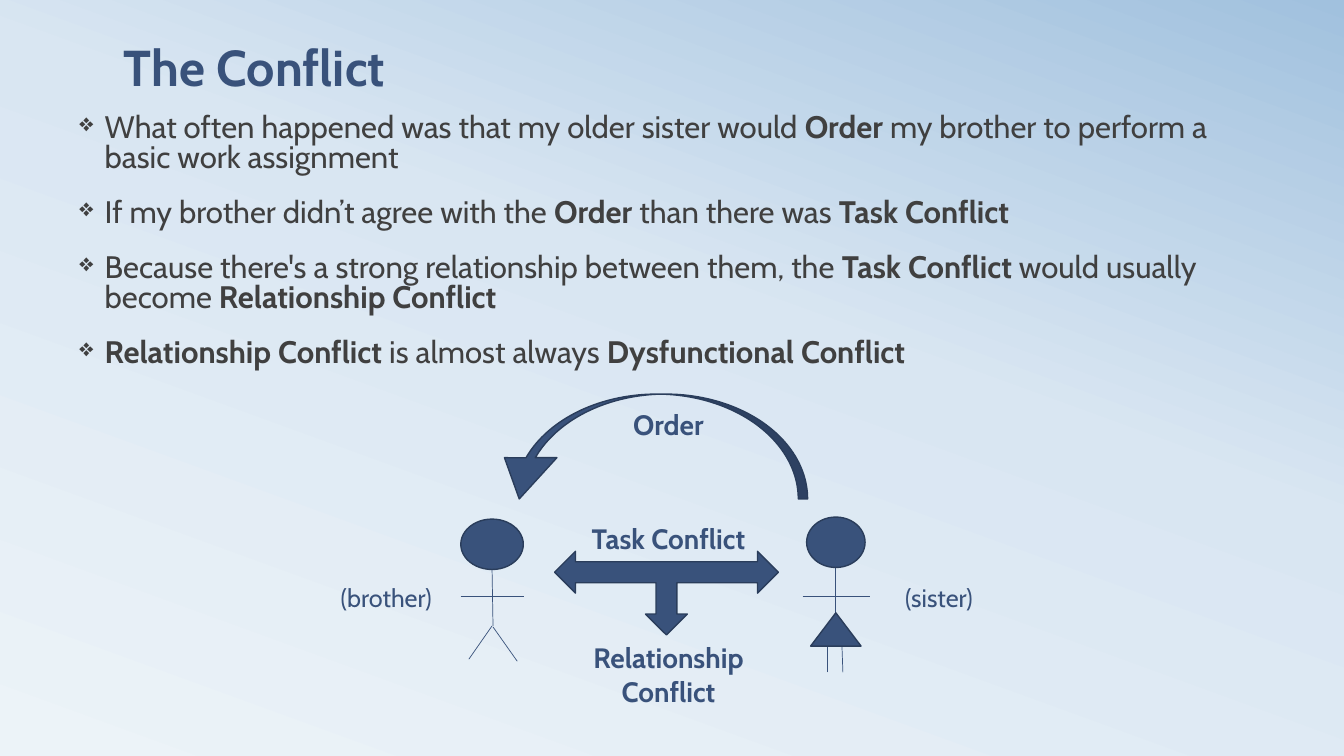
from lxml import etree
from pptx import Presentation
from pptx.dml.color import RGBColor
from pptx.enum.shapes import MSO_CONNECTOR, MSO_SHAPE
from pptx.enum.text import MSO_ANCHOR, PP_ALIGN
from pptx.oxml.ns import qn
from pptx.util import Inches, Pt

OVAL, TRIANGLE = MSO_SHAPE.OVAL, MSO_SHAPE.ISOSCELES_TRIANGLE
ORDER_ARROW, CONFLICT_ARROW = MSO_SHAPE.CURVED_DOWN_ARROW, MSO_SHAPE.LEFT_RIGHT_UP_ARROW
STRAIGHT = MSO_CONNECTOR.STRAIGHT
LEFT, CENTER, TOP = PP_ALIGN.LEFT, PP_ALIGN.CENTER, MSO_ANCHOR.TOP

# Content
FONT, NAVY, EDGE, GREY = "Cabin", "39527B", "2A3D5B", "404040"
BACKGROUND = [(0, "ECF3F8"), (58, "D9E6F2"), (100, "A1C1DE")]
BACKGROUND_ANGLE = 290

# Each point is a list of (words, bold)
POINTS = [
    [("What often happened was that my older sister would ", False), ("Order", True),
     (" my brother to perform a basic work assignment", False)],
    [("If my brother didn’t agree with the ", False), ("Order", True),
     (" than there was ", False), ("Task Conflict", True)],
    [("Because there's a strong relationship between them, the ", False),
     ("Task Conflict", True), (" would usually become ", False),
     ("Relationship Conflict", True)],
    [("Relationship Conflict", True), (" is almost always ", False),
     ("Dysfunctional Conflict", True)],
]
POINTS_BOX = (0.69, 1.09, 11.84, 2.65)

# Words, box, size, bold, alignment
LABELS = [
    ("Order", (5.88, 3.99, 1.5, 0.44), 20, True, CENTER),
    ("Task Conflict", (5.63, 5.12, 2, 0.44), 20, True, CENTER),
    ("Relationship Conflict", (5.74, 6.31, 1.78, 0.77), 20, True, CENTER),
    ("The Conflict", (1.13, 0.31, 7.17, 0.71), 36, True, LEFT),
    ("(sister)", (8.88, 5.73, 1.42, 0.4), 18, False, LEFT),
    ("(brother)", (3.28, 5.73, 1.15, 0.4), 18, False, LEFT),
]

# Stick figures: filled parts, then limbs as x1, y1, x2, y2
BROTHER = {
    "solids": [(OVAL, (4.57, 5.15, 0.62, 0.5))],
    "limbs": [(4.88, 5.63, 4.89, 6.21), (4.65, 6.54, 4.88, 6.21),
              (5.13, 6.56, 4.89, 6.22), (4.57, 5.92, 5.2, 5.92)],
}
SISTER = {
    "solids": [(OVAL, (8, 5.13, 0.58, 0.5)), (TRIANGLE, (8.04, 6.08, 0.5, 0.33))],
    "limbs": [(7.96, 5.92, 8.63, 5.92), (8.29, 5.63, 8.29, 6.24),
              (8.21, 6.67, 8.21, 6.25), (8.36, 6.67, 8.35, 6.39)],
}

# Kind, box, flip, adjustments
ARROWS = [
    (ORDER_ARROW, (4.89, 3.91, 3.12, 1.04), "flipH", (0.089, 0.5, 0.393)),
    (CONFLICT_ARROW, (5.5, 5.47, 2.22, 0.83), "flipV", ()),
]

prs = Presentation()
prs.slide_width, prs.slide_height = Inches(13.33), Inches(7.5)
slide = prs.slides.add_slide(prs.slide_layouts[6])


def color(value):
    return RGBColor.from_string(value)


def inches(lengths):
    return [Inches(length) for length in lengths]


def add_solid(kind, box):
    solid = slide.shapes.add_shape(kind, *inches(box))
    solid.shadow.inherit = False
    solid.fill.solid()
    solid.fill.fore_color.rgb = color(NAVY)
    solid.line.color.rgb = color(EDGE)
    solid.line.width = Pt(1)
    return solid


def add_limb(ends):
    limb = slide.shapes.add_connector(STRAIGHT, *inches(ends))
    limb.line.color.rgb = color(NAVY)
    limb.line.width = Pt(0.5)
    etree.SubElement(limb.element.spPr, qn("a:effectLst"))


def add_frame(box):
    frame = slide.shapes.add_textbox(*inches(box)).text_frame
    frame.word_wrap = True
    frame.vertical_anchor = TOP
    return frame


def add_run(paragraph, words, size, bold, ink):
    run = paragraph.add_run()
    run.text = words
    for name, value in {"name": FONT, "size": Pt(size), "bold": bold}.items():
        setattr(run.font, name, value)
    run.font.color.rgb = color(ink)


def add_bullet(paragraph):
    props = paragraph._p.get_or_add_pPr()
    props.set("marL", str(Inches(0.25)))
    props.set("indent", str(-Inches(0.25)))
    bullet_color = etree.SubElement(props, qn("a:buClr"))
    etree.SubElement(bullet_color, qn("a:srgbClr"), val=GREY)
    etree.SubElement(props, qn("a:buSzPct"), val="80000")
    etree.SubElement(props, qn("a:buChar"), char="❖")


# Background gradient
backdrop = slide.background.fill
backdrop.gradient()
backdrop.gradient_angle = 360 - BACKGROUND_ANGLE
stops = slide.element.find(".//" + qn("a:gsLst"))
for stop in list(stops):
    stops.remove(stop)
for percent, tint in BACKGROUND:
    stop = etree.SubElement(stops, qn("a:gs"), pos=str(percent * 1000))
    etree.SubElement(stop, qn("a:srgbClr"), val=tint)

# Bulleted points
points = add_frame(POINTS_BOX)
for index, point in enumerate(POINTS):
    paragraph = points.add_paragraph() if index else points.paragraphs[0]
    paragraph.line_spacing = 0.8
    paragraph.space_before = Pt(18)
    add_bullet(paragraph)
    for words, bold in point:
        add_run(paragraph, words, 22.2, bold, GREY)

# Brother and sister
for person in (BROTHER, SISTER):
    for limb_ends in person["limbs"]:
        add_limb(limb_ends)
    for kind, box in person["solids"]:
        add_solid(kind, box)

# Arrows between them
for kind, box, flip, adjustments in ARROWS:
    arrow = add_solid(kind, box)
    arrow.element.spPr.xfrm.set(flip, "1")
    for index, value in enumerate(adjustments):
        arrow.adjustments[index] = value

# Title and labels
for words, box, size, bold, alignment in LABELS:
    paragraph = add_frame(box).paragraphs[0]
    paragraph.alignment = alignment
    add_run(paragraph, words, size, bold, NAVY)

prs.save("out.pptx")
